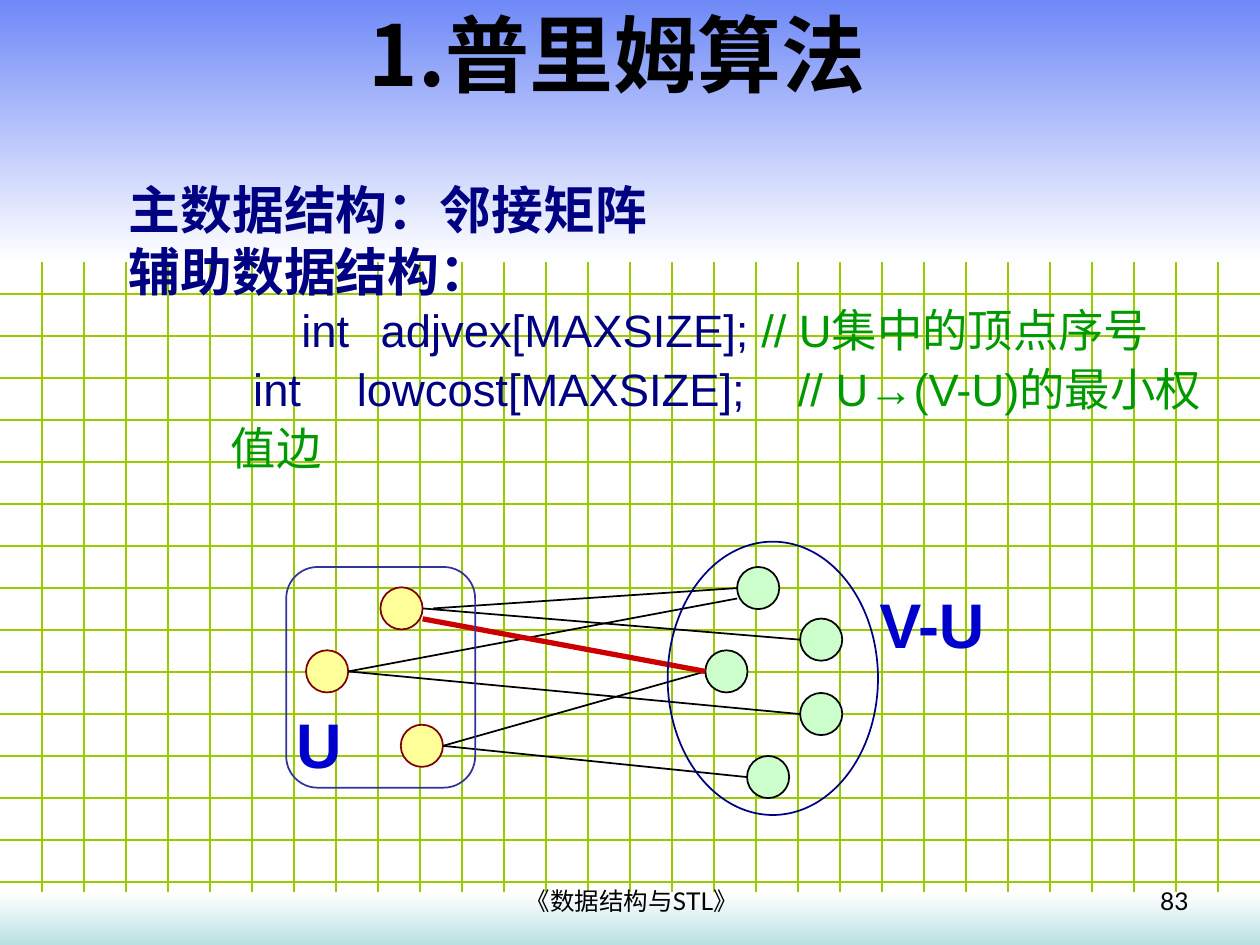
from lxml import etree
from pptx import Presentation
from pptx.dml import color
from pptx.enum import shapes, text
from pptx.oxml import ns
from pptx.util import Cm, Pt

WIDTH, HEIGHT = 25.4, 19.05
HEADER_BOTTOM, FOOTER_TOP = 5.29, 17.99
GRID_STEP = WIDTH / 30
NODE_SIZE = 0.85
CJK_FONT = "Noto Sans CJK SC"
NAVY, GREEN, BLUE, BLACK = "000082", "009900", "0000CC", "000000"


def rgb(value):
    return color.RGBColor.from_string(value)


def place(item, left, top, width, height):
    item.left, item.top = Cm(left), Cm(top)
    item.width, item.height = Cm(width), Cm(height)


def add_run(paragraph, words, size, hue, font="Arial", bold=False):
    run = paragraph.add_run()
    run.text = words
    run.font.size = Pt(size)
    run.font.name = font
    run.font.bold = bold
    run.font.color.rgb = rgb(hue)
    east_asian = etree.SubElement(run._r.get_or_add_rPr(), ns.qn("a:ea"))
    east_asian.set("typeface", CJK_FONT)


def add_line(slide, start, end, hue, weight=1):
    line = slide.shapes.add_connector(
        shapes.MSO_CONNECTOR.STRAIGHT, *map(Cm, start + end))
    line.line.color.rgb = rgb(hue)
    line.line.width = Pt(weight)
    etree.SubElement(line._element.spPr, ns.qn("a:effectLst"))


def add_outline(slide, kind, box, hue, fill=None):
    outline = slide.shapes.add_shape(kind, *map(Cm, box))
    outline.shadow.inherit = False
    if fill:
        outline.fill.solid()
        outline.fill.fore_color.rgb = rgb(fill)
    else:
        outline.fill.background()
    outline.line.color.rgb = rgb(hue)
    outline.line.width = Pt(1)


def add_band(slide, top, height, hues):
    band = slide.shapes.add_shape(
        shapes.MSO_SHAPE.RECTANGLE, 0, Cm(top), Cm(WIDTH), Cm(height))
    band.shadow.inherit = False
    band.line.fill.background()
    band.fill.gradient()
    band.fill.gradient_angle = 270
    for stop, hue in zip(band.fill.gradient_stops, hues):
        stop.color.rgb = rgb(hue)


def add_label(slide, box, words, size, hue, font="Arial", bold=False,
              align=text.PP_ALIGN.LEFT, wrap=True):
    label = slide.shapes.add_textbox(*map(Cm, box)).text_frame
    label.word_wrap = wrap
    label.paragraphs[0].alignment = align
    add_run(label.paragraphs[0], words, size, hue, font, bold)


def draw_backdrop(slide):
    for column in range(1, 30):
        x = column * GRID_STEP
        add_line(slide, (x, HEADER_BOTTOM), (x, FOOTER_TOP), "99CC00", 0.75)
    for row in range(7, 22):
        y = row * GRID_STEP
        add_line(slide, (0, y), (WIDTH, y), "99CC00", 0.75)
    add_band(slide, 0, HEADER_BOTTOM, ("6F89F7", "FFFFFF"))
    add_band(slide, FOOTER_TOP, HEIGHT - FOOTER_TOP, ("FFFFFF", "BBE0E3"))


def fill_title(title):
    place(title, 0, 0, 24.89, 2.13)
    frame = title.text_frame
    frame.auto_size = text.MSO_AUTO_SIZE.NONE
    frame.vertical_anchor = text.MSO_ANCHOR.MIDDLE
    frame.paragraphs[0].alignment = text.PP_ALIGN.CENTER
    add_run(frame.paragraphs[0], "1.普里姆算法", 48, BLACK, CJK_FONT, True)


def format_line(paragraph, margin, indent, tabs, spacing):
    paragraph.alignment = text.PP_ALIGN.LEFT
    paragraph.line_spacing = Pt(spacing)
    paragraph.space_before = Pt(0)
    properties = paragraph._p.get_or_add_pPr()
    properties.set("marL", str(Cm(margin)))
    properties.set("indent", str(Cm(indent)))
    etree.SubElement(properties, ns.qn("a:buNone"))
    if tabs:
        stops = etree.SubElement(properties, ns.qn("a:tabLst"))
        for position in tabs:
            stop = etree.SubElement(stops, ns.qn("a:tab"))
            stop.set("pos", str(Cm(position)))
            stop.set("algn", "l")


def fill_body(body):
    place(body, 2.34, 3.38, 22.78, 7.14)
    frame = body.text_frame
    frame.auto_size = text.MSO_AUTO_SIZE.NONE
    frame.vertical_anchor = text.MSO_ANCHOR.TOP
    frame.margin_top = Cm(0.2)
    lines = [
        (0, 0, (), 35.5, [("主数据结构：邻接矩阵", 29.6, NAVY, True)]),
        (0, 0, (), 35.5, [("辅助数据结构：", 29.6, NAVY, True)]),
        (0, 3.48, (5.47,), 31.5,
         [("int\tadjvex[MAXSIZE]; ", 25.9, NAVY, False),
          ("// U集中的顶点序号", 25.9, GREEN, False)]),
        (2.06, 0.45, (2.44, 11.28), 33.7,
         [("int\tlowcost[MAXSIZE];\t", 25.9, NAVY, False),
          ("// U→(V-U)的最小权值边", 25.9, GREEN, False)]),
    ]
    for index, (margin, indent, tabs, spacing, pieces) in enumerate(lines):
        paragraph = frame.add_paragraph() if index else frame.paragraphs[0]
        format_line(paragraph, margin, indent, tabs, spacing)
        for words, size, hue, bold in pieces:
            add_run(paragraph, words, size, hue, bold=bold)


def draw_cut(slide):
    chosen = [(7.67, 11.84), (6.17, 13.11), (8.08, 14.61)]
    top, upper, bottom, middle, lower = remaining = [
        (14.86, 11.43), (16.13, 12.47), (15.06, 15.24),
        (14.22, 13.11), (16.13, 13.97)]
    for nodes, hue, fill in ((chosen, "800000", "FFFF99"),
                             (remaining, BLACK, "CCFFCC")):
        for node in nodes:
            add_outline(slide, shapes.MSO_SHAPE.OVAL,
                        node + (NODE_SIZE, NODE_SIZE), hue, fill)

    first, second, third = chosen
    edges = [
        (first, top, 0.21, 0, 0, BLACK, 1),
        (second, lower, 0, 0, 0, BLACK, 1),
        (third, bottom, 0, 0, 0, BLACK, 1),
        (third, middle, 0, 0, 0, BLACK, 1),
        (first, upper, 0, 0, 0, BLACK, 1),
        (second, top, 0, 0, 0.21, BLACK, 1),
        (first, middle, 0, 0.21, 0, "CC0000", 3),
    ]
    for source, target, shift, drop, target_drop, hue, weight in edges:
        start = (source[0] + NODE_SIZE + shift,
                 source[1] + NODE_SIZE / 2 + drop)
        end = (target[0], target[1] + NODE_SIZE / 2 + target_drop)
        add_line(slide, start, end, hue, weight)

    add_outline(slide, shapes.MSO_SHAPE.ROUNDED_RECTANGLE,
                (5.77, 11.43, 3.81, 4.45), "333399")
    add_label(slide, (5.72, 14.1, 1.42, 1.78), "U", 36, BLUE,
              bold=True, wrap=False)
    add_outline(slide, shapes.MSO_SHAPE.OVAL,
                (13.46, 10.92, 4.24, 5.51), NAVY)
    add_label(slide, (17.48, 11.68, 2.97, 1.78), "V-U", 36, BLUE, bold=True)


def main():
    deck = Presentation()
    deck.slide_width, deck.slide_height = Cm(WIDTH), Cm(HEIGHT)
    slide = deck.slides.add_slide(deck.slide_layouts[1])
    title, body = slide.placeholders
    draw_backdrop(slide)
    for holder in (title, body):
        slide.shapes._spTree.append(holder._element)
    fill_title(title)
    fill_body(body)
    draw_cut(slide)
    add_label(slide, (18.29, 17.73, 5.92, 0.91), "83", 14, BLACK, "Lato",
              align=text.PP_ALIGN.RIGHT)
    add_label(slide, (8.71, 17.73, 8.05, 0.91), "《数据结构与STL》", 14, BLACK,
              "Lato", align=text.PP_ALIGN.CENTER)
    deck.save("out.pptx")


if __name__ == "__main__":
    main()
